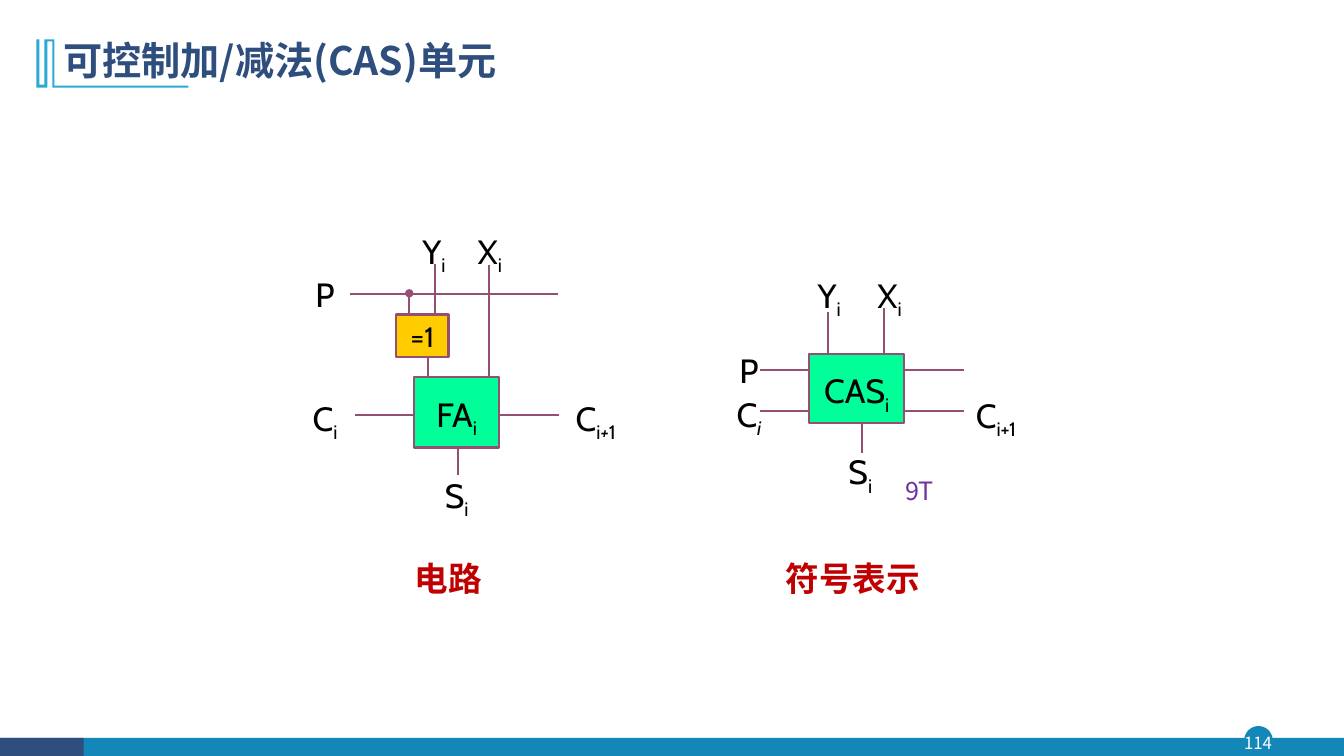
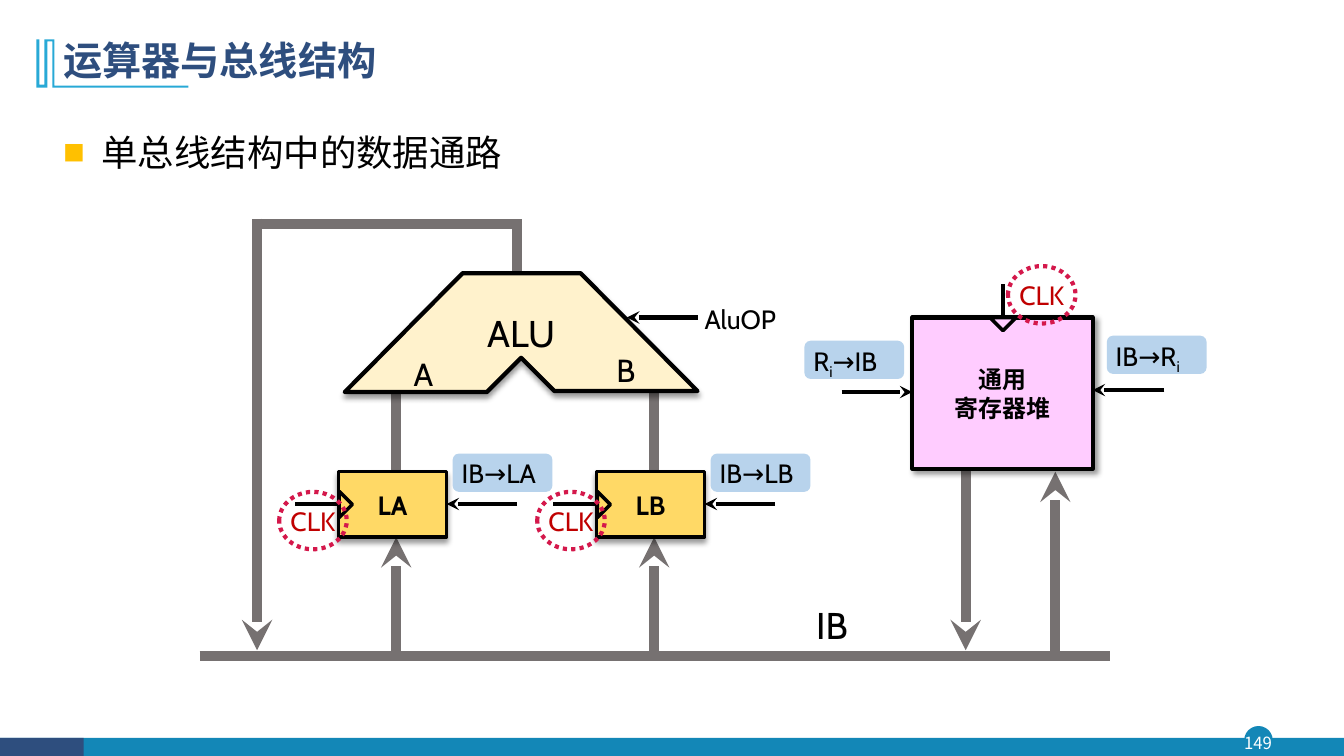
import dataclasses

import lxml.etree
import pptx
import pptx.dml.color
import pptx.enum.dml
import pptx.enum.shapes
import pptx.enum.text
import pptx.oxml.ns
import pptx.util

PRESET = pptx.enum.shapes.MSO_SHAPE
ALIGN = pptx.enum.text.PP_ALIGN
ANCHOR = pptx.enum.text.MSO_ANCHOR
qn = pptx.oxml.ns.qn


@dataclasses.dataclass(frozen=True)
class Theme:
    latin: str = "Cabin"
    cjk: str = "Noto Sans CJK SC"
    black: str = "000000"
    white: str = "FFFFFF"
    navy: str = "2E4E7E"
    teal: str = "1387B7"
    sky: str = "28A9D6"
    wire: str = "954F72"
    green: str = "00FF99"
    amber: str = "FFCC00"
    red: str = "C00000"
    purple: str = "7030A0"
    bullet: str = "FFC000"
    bus: str = "767171"
    tag: str = "9DC3E6"
    latch: str = "FFD966"
    alu: str = "FFF2CC"
    register: str = "FFCCFF"
    clock: str = "D4184B"
    title_size: float = 28
    body_size: float = 26
    symbol_size: float = 24
    gate_size: float = 20
    note_size: float = 18
    number_size: float = 12
    label_size: float = 18.9
    port_size: float = 22.8
    unit_size: float = 26.6
    register_size: float = 17.1
    wire_width: float = 1.5
    edge_width: float = 2.5
    signal_width: float = 3
    bus_width: float = 7.25


theme = Theme()
cell = pptx.util.Inches(0.1)
columns, rows = 133.33, 75


def add_shape(slide, kind, box, text="", size=theme.label_size, color=theme.black, font=theme.latin,
              bold=False, align=ALIGN.CENTER, anchor=ANCHOR.MIDDLE, inset=(0, 0, 0, 0), spacing=1.0,
              wrap=True, fill=None, alpha=None, line=None, width=1, shadow=None):
    if kind == "text":
        shape = slide.shapes.add_textbox(*(round(value * cell) for value in box))
    elif kind == "outline":
        points = [(x * cell, y * cell) for x, y in box]
        builder = slide.shapes.build_freeform(*points[0], scale=1.0)
        builder.add_line_segments(points[1:], close=True)
        shape = builder.convert_to_shape()
    else:
        shape = slide.shapes.add_shape(kind, *(round(value * cell) for value in box))
    if kind != "text":
        shape.shadow.inherit = False
        shape.fill.background()
        shape.line.fill.background()
    if fill:
        shape.fill.solid()
        shape.fill.fore_color.rgb = pptx.dml.color.RGBColor.from_string(fill)
    if alpha:
        fill_color = shape._element.spPr.find(qn("a:solidFill"))[0]
        lxml.etree.SubElement(fill_color, qn("a:alpha"), val=str(alpha * 1000))
    if line:
        shape.line.color.rgb = pptx.dml.color.RGBColor.from_string(line)
        shape.line.width = pptx.util.Pt(width)
    if shadow is not None:
        effects = shape._element.spPr.find(qn("a:effectLst"))
        outer = lxml.etree.SubElement(effects, qn("a:outerShdw"), blurRad=str(pptx.util.Pt(4)),
                                      dist=str(pptx.util.Pt(3)), dir=str(shadow * 60000), rotWithShape="0")
        shadow_color = lxml.etree.SubElement(outer, qn("a:srgbClr"), val=theme.black)
        lxml.etree.SubElement(shadow_color, qn("a:alpha"), val="40000")
    if not text:
        return shape
    frame = shape.text_frame
    frame.word_wrap = wrap
    frame.vertical_anchor = anchor
    frame.margin_left, frame.margin_top, frame.margin_right, frame.margin_bottom = (
        round(value * cell) for value in inset)
    for index, content in enumerate(text.split("\n")):
        paragraph = frame.add_paragraph() if index else frame.paragraphs[0]
        paragraph.alignment = align
        paragraph.line_spacing = spacing
        for part in content.split("|"):
            run = paragraph.add_run()
            run.text = part.lstrip("_/")
            run.font.size = pptx.util.Pt(size)
            run.font.bold = bold
            run.font.name = font
            run.font.color.rgb = pptx.dml.color.RGBColor.from_string(color)
            properties = run._r.get_or_add_rPr()
            east_asian = lxml.etree.Element(qn("a:ea"), typeface=font)
            properties.find(qn("a:latin")).addnext(east_asian)
            if part[0] in "_/":
                properties.set("baseline", "-25000")
                run.font.italic = part[0] == "/"
    return shape


def add_line(slide, start, end, color, width, arrow=None):
    connector = slide.shapes.add_connector(
        pptx.enum.shapes.MSO_CONNECTOR.STRAIGHT, *(round(value * cell) for value in (*start, *end)))
    connector.line.color.rgb = pptx.dml.color.RGBColor.from_string(color)
    connector.line.width = pptx.util.Pt(width)
    if arrow:
        lxml.etree.SubElement(connector.line._get_or_add_ln(), qn("a:tailEnd"), type=arrow)
    lxml.etree.SubElement(connector._element.spPr, qn("a:effectLst"))


presentation = pptx.Presentation()
presentation.slide_width = round(columns * cell)
presentation.slide_height = rows * cell

title_mark = [(5.4, 3.9), (5.4, 8.5), (18.7, 8.5), (18.7, 8.7), (5.2, 8.7), (5.2, 4.1), (4.7, 4.1),
              (4.7, 8.7), (3.6, 8.7), (3.6, 3.9), (3.9, 3.9), (3.9, 8.4), (4.4, 8.4), (4.4, 3.9)]
slides = []
for title, number in (("可控制加/减法(CAS)单元", "114"), ("运算器与总线结构", "149")):
    slide = presentation.slides.add_slide(presentation.slide_layouts[6])
    add_shape(slide, PRESET.OVAL, (123.5, 72.1, 2.7, 2.7), fill=theme.teal, line=theme.teal)
    add_shape(slide, PRESET.RECTANGLE, (0, 73.2, columns, 1.8), fill=theme.teal)
    add_shape(slide, PRESET.RECTANGLE, (0, 73.2, 8.3, 1.8), fill=theme.navy)
    add_shape(slide, "text", (123.2, 72.1, 3.2, 3.1), number, theme.number_size, theme.white, theme.cjk)
    add_shape(slide, "outline", title_mark, fill=theme.sky)
    add_shape(slide, "text", (5.3, 2.8, 115, 6.8), title, theme.title_size, theme.navy, theme.cjk,
              bold=True, align=ALIGN.LEFT, inset=(1, 0.5, 1, 0.5), spacing=0.9)
    slides.append(slide)
unit_slide, bus_slide = slides

wires = (
    ((35.2, 41.2), (55.5, 41.2)), ((45.4, 44.4), (45.4, 47.1)), ((42.5, 37.4), (42.5, 34.4)),
    ((43.2, 31.2), (43.2, 26.2)), ((34.7, 29.2), (55.4, 29.2)), ((48.5, 37.4), (48.5, 26.3)),
    ((75.4, 40.8), (95.6, 40.8)), ((75.4, 36.7), (95.6, 36.7)), ((85.5, 40.2), (85.5, 44.9)),
    ((87.7, 35), (87.7, 30.6)), ((82.1, 35), (82.1, 31)),
)
for start, end in wires:
    add_line(unit_slide, start, end, theme.wire, theme.wire_width)
add_line(unit_slide, (40.6, 31.4), (40.6, 29.1), theme.wire, theme.wire_width, "oval")

terminals = (
    ("P", 29.9, 28, 4.7), ("C|_i", 28.8, 39.9, 6.9), ("C|_i|/+|_1", 55.4, 39.9, 7.4),
    ("S|_i", 43.7, 47.5, 3.2), ("Y|_i", 40.9, 23.3, 4.3), ("X|_i", 46.3, 23.3, 4.6),
    ("P", 72.7, 35.5, 3.2), ("C|/i", 71.9, 39.5, 4.8), ("C|_i+1", 95.7, 39.6, 6.2),
    ("S|_i", 83.8, 45.2, 3.1), ("Y|_i", 80.2, 27.7, 4.1), ("X|_i", 85.9, 27.7, 4.7),
)
for text, left, top, width in terminals:
    add_shape(unit_slide, "text", (left, top, width, 3.4), text, theme.symbol_size,
              anchor=ANCHOR.TOP, spacing=0.8)

blocks = (
    ("=1", (39.3, 31.2, 5.2, 4.2), theme.gate_size, theme.amber),
    ("FA|_i", (41.1, 37.4, 8.4, 7), theme.symbol_size, theme.green),
    ("CAS|_i", (80.3, 35.1, 9.4, 6.9), theme.symbol_size, theme.green),
)
for text, box, size, fill in blocks:
    add_shape(unit_slide, PRESET.RECTANGLE, box, text, size, inset=(0, 0.8, 0, 0), spacing=0.8,
              fill=fill, line=theme.wire, width=theme.wire_width)

for caption, left, width in (("电路", 35.6, 17.8), ("符号表示", 73.8, 21.6)):
    add_shape(unit_slide, "text", (left, 56.1, width, 4.5), caption, theme.symbol_size, theme.red,
              theme.cjk, bold=True, anchor=ANCHOR.TOP, spacing=0.8)
add_shape(unit_slide, "text", (88.8, 46.1, 6.5, 3.6), "9T", theme.note_size, theme.purple, theme.cjk,
          align=ALIGN.LEFT, anchor=ANCHOR.TOP, inset=(1, 0.5, 0, 0), spacing=1.2)

body = add_shape(bus_slide, "text", (5.3, 10.3, 115, 10.1), "单总线结构中的数据通路", theme.body_size,
                 font=theme.cjk, align=ALIGN.LEFT, anchor=ANCHOR.TOP, inset=(1, 0.5, 1, 0.5), spacing=1.5)
bullet = body.text_frame.paragraphs[0]._p.get_or_add_pPr()
bullet.set("marL", str(round(3.8 * cell)))
bullet.set("indent", str(round(-3.8 * cell)))
bullet_color = lxml.etree.SubElement(bullet, qn("a:buClr"))
lxml.etree.SubElement(bullet_color, qn("a:srgbClr"), val=theme.bullet)
lxml.etree.SubElement(bullet, qn("a:buSzPct"), val="60000")
lxml.etree.SubElement(bullet, qn("a:buFont"), typeface=theme.cjk)
lxml.etree.SubElement(bullet, qn("a:buChar"), char="■")

bus_lines = (
    ((25.5, 22.2), (51.3, 22.2), None), ((51.3, 27.3), (51.3, 21.7), None),
    ((25.5, 21.7), (25.5, 64.5), "stealth"), ((95.8, 46.5), (95.8, 64.5), "stealth"),
    ((104.7, 65.1), (104.7, 46.8), "stealth"), ((19.8, 65.1), (110.1, 65.1), None),
)
for start, end, arrow in bus_lines:
    add_line(bus_slide, start, end, theme.bus, theme.bus_width, arrow)

add_shape(bus_slide, PRESET.RECTANGLE, (90.5, 31.5, 17.9, 15), "通用\n寄存器堆", theme.register_size,
          font=theme.cjk, bold=True, fill=theme.register, line=theme.black, width=theme.signal_width,
          shadow=45)

latch_pitch = 25.6
clocks = [(100, 26.4)]
tags = [("R|_i|→IB", 79.8, 33.8), ("IB→R|_i", 109.8, 33.3)]
triangles = [((98.2, 31.5), 180, theme.register)]
signals = [((83.5, 38.9), (90.5, 38.9), "stealth"), ((115.5, 38.7), (108.4, 38.7), "stealth"),
           ((69.2, 31.5), (62.2, 31.5), "stealth"), ((99.5, 28.2), (99.5, 31.6), None)]
for index, name in enumerate(("LA", "LB")):
    left = 33.6 + index * latch_pitch
    center = left + 5.7
    add_line(bus_slide, (center, 47), (center, 38.9), theme.bus, theme.bus_width)
    add_line(bus_slide, (center, 64.6), (center, 53.3), theme.bus, theme.bus_width, "stealth")
    add_shape(bus_slide, PRESET.RECTANGLE, (left, 46.8, 10.7, 6.5), name, bold=True, fill=theme.latch,
              line=theme.black, width=theme.edge_width, shadow=90)
    clocks.append((left - 5.9, 48.8))
    tags.append((f"IB→{name}", left + 11.3, 45))
    triangles.append(((left - 0.6, 49.4), 90, theme.latch))
    signals += [((left - 4.3, 50), (left, 50), None), ((left + 17.7, 50), (left + 10.7, 50), "stealth")]

alu_outline = [(45.9, 27.1), (34.2, 38.9), (48.3, 38.9), (51.7, 35.5), (55, 38.8), (69.2, 38.8), (57.6, 27.1)]
add_shape(bus_slide, "outline", alu_outline, "ALU", theme.unit_size, fill=theme.alu, line=theme.black,
          width=theme.signal_width, shadow=90)
for (left, top), angle, fill in triangles:
    triangle = add_shape(bus_slide, PRESET.ISOSCELES_TRIANGLE, (left, top, 2.6, 1.3), fill=fill,
                         line=theme.black, width=theme.edge_width)
    triangle.rotation = angle
for text, left, top in tags:
    add_shape(bus_slide, PRESET.ROUNDED_RECTANGLE, (left, top, 9.9, 3.8), text, align=ALIGN.LEFT,
              anchor=ANCHOR.TOP, inset=(0.7, 0.2, 0, 0), fill=theme.tag, alpha=72)
for start, end, arrow in signals:
    add_line(bus_slide, start, end, theme.black, theme.signal_width, arrow)
for left, top in clocks:
    clock = add_shape(bus_slide, PRESET.OVAL, (left, top, 6.7, 5.7), "CLK", color=theme.red, wrap=False,
                      line=theme.clock, width=theme.signal_width)
    clock.line.dash_style = pptx.enum.dml.MSO_LINE.ROUND_DOT

labels = (
    ("AluOP", (69.9, 29.9, 12, 3.4), theme.label_size, ALIGN.LEFT),
    ("A", (39.8, 34.7, 4.4, 4.8), theme.port_size, ALIGN.CENTER),
    ("B", (60, 34.3, 4.2, 4.8), theme.port_size, ALIGN.CENTER),
    ("IB", (79.6, 59.2, 5.9, 5.5), theme.unit_size, ALIGN.CENTER),
)
for text, box, size, align in labels:
    add_shape(bus_slide, "text", box, text, size, align=align)

presentation.save("out.pptx")
